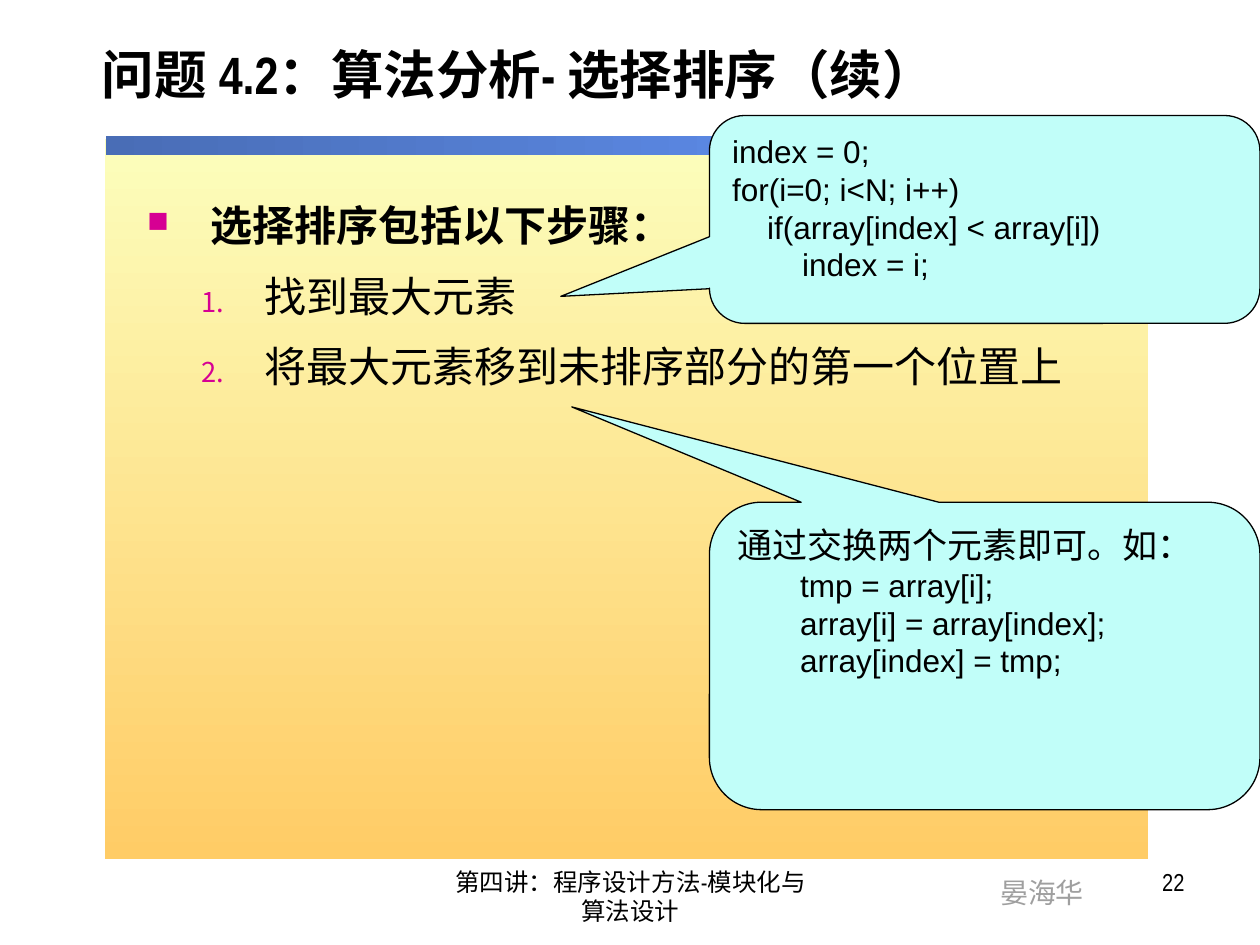
from dataclasses import dataclass

from lxml import etree
from pptx import Presentation
from pptx.dml.color import RGBColor
from pptx.enum import shapes, text
from pptx.oxml.ns import qn
from pptx.util import Pt

NARROW, ARIAL = "Arial Narrow", "Arial"
BLACK, GREY, PINK, AQUA = "000000", "9F9F9F", "D60093", "C1FEF9"
LEFT, CENTER, RIGHT = (text.PP_ALIGN.LEFT, text.PP_ALIGN.CENTER,
                       text.PP_ALIGN.RIGHT)


@dataclass
class Box:
    left: float
    top: float
    width: float
    height: float

    def lengths(self):
        return [Pt(v) for v in (self.left, self.top, self.width, self.height)]


@dataclass
class Band:
    box: Box
    start: str
    end: str
    angle: int


@dataclass
class Line:
    words: str
    size: float = 18
    indent: float = 0
    level: int = 0


@dataclass
class Callout:
    box: Box
    tip: tuple
    lines: list


@dataclass
class Step:
    words: str
    level: int
    indent: float
    bullet: tuple
    bullet_size: int
    bold: bool


BANDS = [
    Band(Box(59.8, 79.2, 596.2, 411.8), "FCFEBC", "FFCC66", 270),
    Band(Box(60.5, 77.8, 595.4, 10.8), "496DB6", "6699FF", 0),
]
NUMBERED = ("buAutoNum", "type", "arabicPeriod")
STEPS = [
    Step("选择排序包括以下步骤：", 0, 36, ("buChar", "char", "■"), 70, True),
    Step("找到最大元素", 1, 67, NUMBERED, 65, False),
    Step("将最大元素移到未排序部分的第一个位置上", 1, 67, NUMBERED, 65, False),
]
CALLOUTS = [
    Callout(Box(405.4, 66, 314.6, 118.8), (-0.77, 0.37), [
        Line("index = 0;"),
        Line("for(i=0; i<N; i++)"),
        Line("if(array[index] < array[i])", indent=20),
        Line("index = i;", indent=40),
    ]),
    Callout(Box(405.4, 287, 314.6, 175.7), (-0.75, -0.81), [
        Line("通过交换两个元素即可。如：", size=20),
        Line("tmp = array[i];", indent=36, level=1),
        Line("array[i] = array[index];", indent=36, level=1),
        Line("array[index] = tmp;", indent=36, level=1),
    ]),
]


def color(value: str) -> RGBColor:
    return RGBColor.from_string(value)


def write(p, words: str, *, size=18, font=ARIAL, fill=BLACK, bold=False,
          align=LEFT, level=0, indent=0, hanging=0, spacing=None):
    p.alignment, p.level = align, level
    if spacing:
        p.line_spacing = spacing
    pPr = p._p.get_or_add_pPr()
    pPr.set("marL", str(Pt(indent)))
    pPr.set("indent", str(Pt(-hanging)))
    r = p.add_run()
    r.text = words
    r.font.size, r.font.name, r.font.bold = Pt(size), font, bold
    r.font.color.rgb = color(fill)


def paragraphs(tf, count: int) -> list:
    return [tf.paragraphs[0]] + [tf.add_paragraph() for _ in range(count - 1)]


def add_band(s, band: Band):
    sp = s.shapes.add_shape(shapes.MSO_SHAPE.RECTANGLE, *band.box.lengths())
    sp.shadow.inherit = False
    sp.line.fill.background()
    sp.fill.gradient()
    sp.fill.gradient_angle = band.angle
    for stop, value in zip(sp.fill.gradient_stops, (band.start, band.end)):
        stop.color.rgb = color(value)


def add_text(s, box: Box, words: str, wrap=True, **style):
    tf = s.shapes.add_textbox(*box.lengths()).text_frame
    tf.word_wrap = wrap
    write(tf.paragraphs[0], words, **style)


def add_bullet(p, step: Step):
    """Add relative space before the paragraph, then its coloured bullet."""
    pPr = p._p.get_or_add_pPr()

    def child(parent, tag, **attributes):
        return etree.SubElement(parent, qn(f"a:{tag}"), **attributes)

    child(child(pPr, "spcBef"), "spcPct", val="60000")
    child(child(pPr, "buClr"), "srgbClr", val=PINK)
    child(pPr, "buSzPct", val=str(step.bullet_size * 1000))
    tag, name, value = step.bullet
    child(pPr, tag, **{name: value})


def add_steps(s, box: Box, steps: list):
    tf = s.shapes.add_textbox(*box.lengths()).text_frame
    tf.word_wrap = True
    for p, step in zip(paragraphs(tf, len(steps)), steps):
        write(p, step.words, size=24, font=NARROW, bold=step.bold,
              level=step.level, indent=step.indent, hanging=36, spacing=0.9)
        add_bullet(p, step)


def add_callout(s, callout: Callout):
    sp = s.shapes.add_shape(shapes.MSO_SHAPE.ROUNDED_RECTANGULAR_CALLOUT,
                            *callout.box.lengths())
    for i, value in enumerate((*callout.tip, 0.17)):
        sp.adjustments[i] = value
    sp.shadow.inherit = False
    sp.fill.solid()
    sp.fill.fore_color.rgb = color(AQUA)
    sp.line.color.rgb = color(BLACK)
    sp.line.width = Pt(0.75)
    tf = sp.text_frame
    tf.word_wrap = True
    tf.vertical_anchor = text.MSO_ANCHOR.TOP
    for p, line in zip(paragraphs(tf, len(callout.lines)), callout.lines):
        write(p, line.words, size=line.size, indent=line.indent,
              level=line.level)


def set_title(s, box: Box, words: str):
    title = s.shapes.title
    title.left, title.top, title.width, title.height = box.lengths()
    tf = title.text_frame
    tf.auto_size = text.MSO_AUTO_SIZE.NONE
    tf.vertical_anchor = text.MSO_ANCHOR.MIDDLE
    write(tf.paragraphs[0], words, size=30, font=NARROW, bold=True,
          spacing=0.8)


def main():
    prs = Presentation()
    prs.slide_width, prs.slide_height = Pt(720), Pt(540)
    s = prs.slides.add_slide(prs.slide_layouts[5])
    for band in BANDS:
        add_band(s, band)
    set_title(s, Box(51, 12.2, 645, 66.2), "问题 4.2：算法分析- 选择排序（续）")
    add_text(s, Box(564.5, 496.8, 62.6, 26.6), "晏海华", wrap=False,
             size=16, fill=GREY)
    add_text(s, Box(246.2, 491.8, 228.2, 37.4),
             "第四讲：程序设计方法-模块化与算法设计",
             size=14, font=NARROW, align=CENTER)
    add_text(s, Box(516.2, 491.8, 167.8, 37.4), "22",
             size=14, font=NARROW, align=RIGHT)
    add_steps(s, Box(77, 113.8, 559.4, 358.6), STEPS)
    for callout in CALLOUTS:
        add_callout(s, callout)
    prs.save("out.pptx")


if __name__ == "__main__":
    main()
